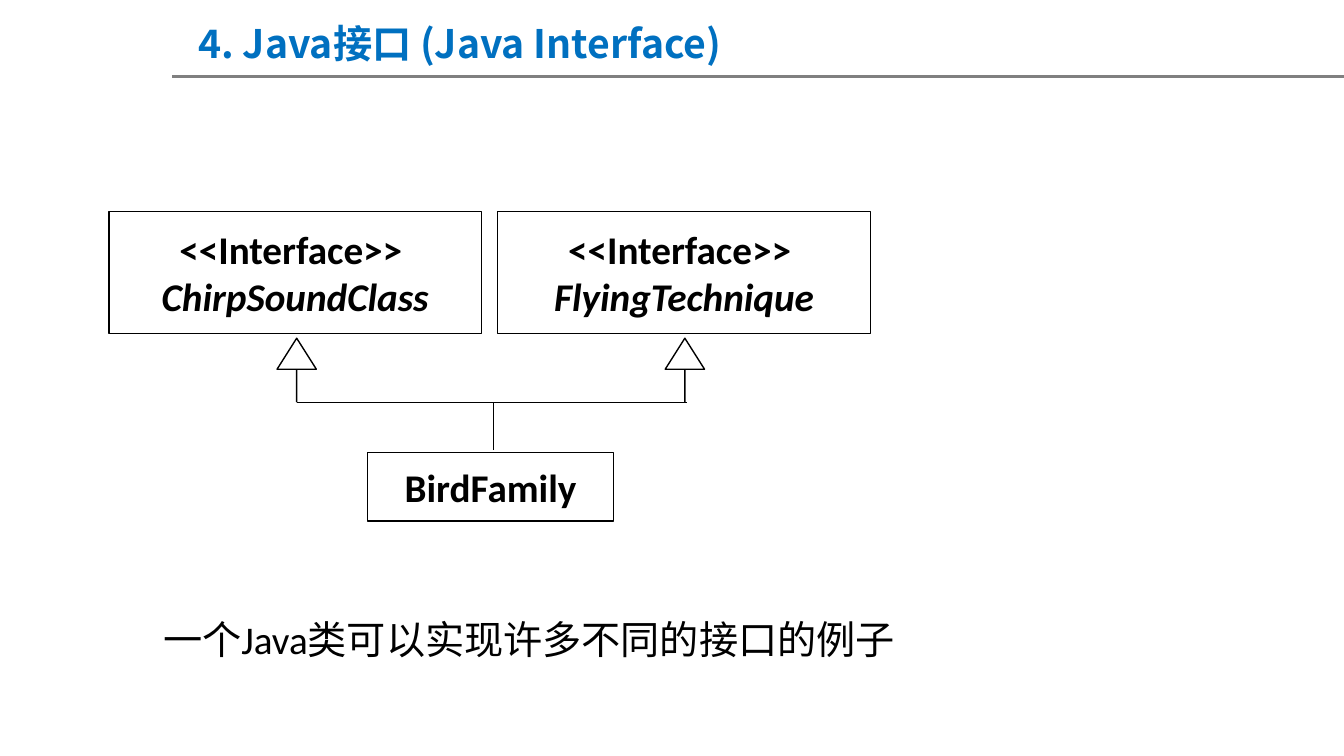
import pptx
import pptx.util
import pptx.dml.color
import pptx.enum.shapes
import pptx.enum.text
import pptx.oxml

Pt = pptx.util.Pt
RGB = pptx.dml.color.RGBColor.from_string
SHAPE = pptx.enum.shapes.MSO_SHAPE
ALIGN = pptx.enum.text.PP_ALIGN
ANCHOR = pptx.enum.text.MSO_ANCHOR

COLORS = {"title": "0070C0", "rule": "808080", "ink": "000000", "paper": "FFFFFF"}
CJK = "Noto Sans CJK SC"
DRAWING_NS = 'xmlns:a="http://schemas.openxmlformats.org/drawingml/2006/main"'

deck = pptx.Presentation()
deck.slide_width, deck.slide_height = Pt(960.5), Pt(540)
slide = deck.slides.add_slide(deck.slide_layouts[6])


def add_run(paragraph, text, font="Calibri", color="ink", bold=False, italic=False):
    run = paragraph.add_run()
    run.text = text
    run.font.size = Pt(28)
    run.font.name = font
    run.font.bold = bold
    run.font.italic = italic
    run.font.color.rgb = RGB(COLORS[color])
    east_asian = pptx.oxml.parse_xml(f'<a:ea {DRAWING_NS} typeface="{CJK}"/>')
    run.font._element.append(east_asian)


def add_outlined(kind, left, top, width, height):
    shape = slide.shapes.add_shape(kind, Pt(left), Pt(top), Pt(width), Pt(height))
    shape.shadow.inherit = False
    shape.fill.solid()
    shape.fill.fore_color.rgb = RGB(COLORS["paper"])
    shape.line.color.rgb = RGB(COLORS["ink"])
    shape.line.width = Pt(1)
    return shape


title = slide.shapes.add_textbox(Pt(134.6), Pt(13.7), Pt(493.2), Pt(41)).text_frame
title.word_wrap = True
title.margin_top = title.margin_bottom = 0
add_run(title.paragraphs[0], "4. Java接口 (Java Interface)", CJK, "title", bold=True)

class_boxes = [
    (262.8, 323.3, 175.7, 49, ["BirdFamily"]),
    (77.8, 151.2, 266.4, 87.1, ["<<Interface>> ", "ChirpSoundClass"]),
    (355.7, 151.2, 266.4, 87.1, ["<<Interface>> ", "FlyingTechnique"]),
]
for left, top, width, height, names in class_boxes:
    label = add_outlined(SHAPE.RECTANGLE, left, top, width, height).text_frame
    label.word_wrap = False
    label.vertical_anchor = ANCHOR.MIDDLE
    for row, name in enumerate(names):
        paragraph = label.add_paragraph() if row else label.paragraphs[0]
        paragraph.alignment = ALIGN.CENTER
        add_run(paragraph, name, bold=True, italic=row > 0)

rules = [
    (123.1, 54.7, 960.5, 54.7, "rule", 2),
    (212.4, 287.3, 491, 287.3, "ink", 1),
    (352.8, 321.1, 352.8, 287.3, "ink", 1),
]
for x1, y1, x2, y2, color, weight in rules:
    rule = slide.shapes.add_connector(
        pptx.enum.shapes.MSO_CONNECTOR.STRAIGHT, Pt(x1), Pt(y1), Pt(x2), Pt(y2))
    rule.line.color.rgb = RGB(COLORS[color])
    rule.line.width = Pt(weight)
    rule._element.spPr.append(pptx.oxml.parse_xml(f"<a:effectLst {DRAWING_NS}/>"))

for arrow_left in (198, 475.4):
    inherits = add_outlined(SHAPE.UP_ARROW, arrow_left, 241.6, 28.1, 45.4)
    inherits.adjustments[0] = 0
    inherits.adjustments[1] = 0.79

caption = slide.shapes.add_textbox(Pt(54), Pt(439.9), Pt(648), Pt(45.4)).text_frame
caption.word_wrap = True
caption.paragraphs[0].alignment = ALIGN.CENTER
caption.paragraphs[0].line_spacing = 0.9
add_run(caption.paragraphs[0], "一个Java类可以实现许多不同的接口的例子")

deck.save("out.pptx")
